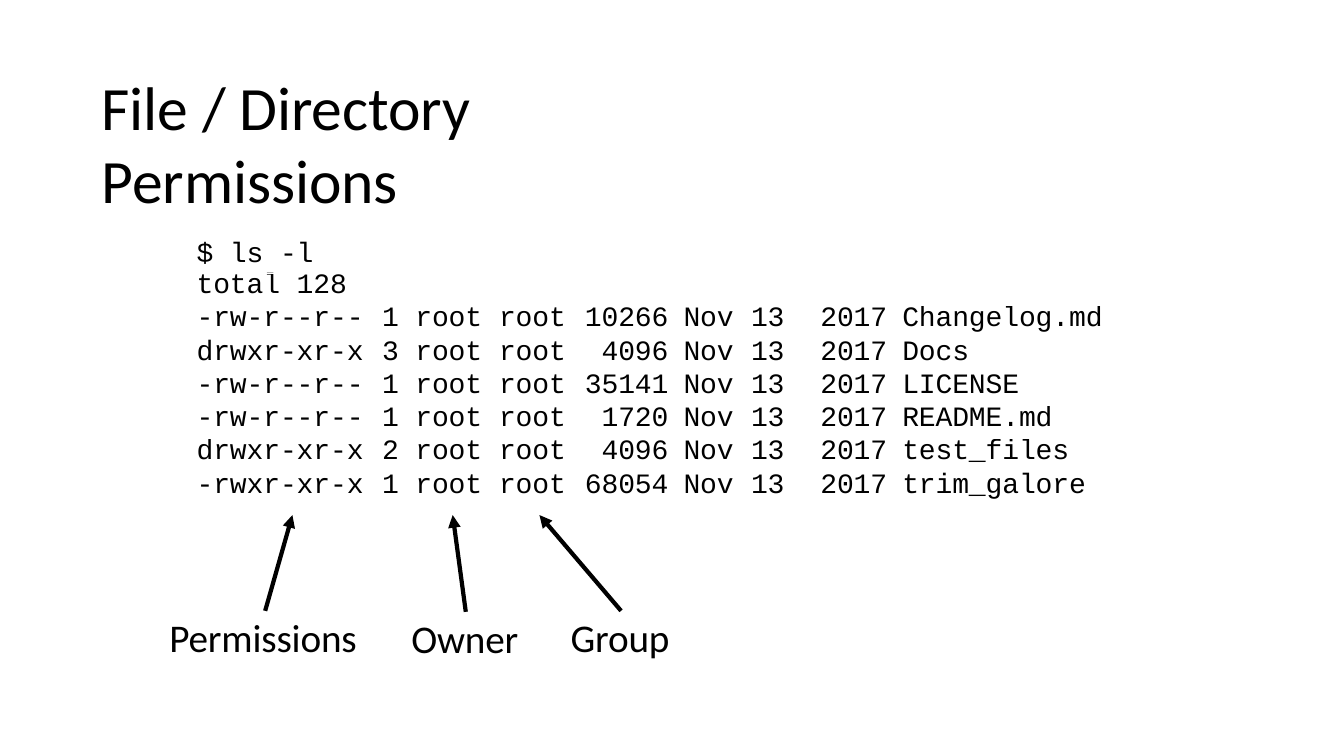
from dataclasses import dataclass

from lxml.etree import SubElement
from pptx import Presentation
from pptx.dml.color import RGBColor
from pptx.enum.shapes import MSO_CONNECTOR as Connector
from pptx.enum.text import MSO_AUTO_SIZE as AutoSize, PP_ALIGN as Align
from pptx.oxml.ns import qn
from pptx.util import Inches, Pt


@dataclass(frozen=True)
class Theme:
    ink: RGBColor = RGBColor(0, 0, 0)
    text_font: str = "Calibri"
    code_font: str = "Courier New"
    title_size: int = 44
    label_size: int = 28
    code_size: int = 20
    tracking: int = -10  # hundredths of a point
    arrow_width: int = 3


class SlideBuilder:
    def __init__(self, slide, theme):
        self.slide = slide
        self.theme = theme

    def style(self, para, size, font):
        for span in para.runs:
            span.font.name = font
            span.font.size = Pt(size)
            span.font.color.rgb = self.theme.ink
            span.font._element.set("spc", str(self.theme.tracking))

    def text(self, text, left, top, width, height, size, font):
        box = self.slide.shapes.add_textbox(
            Inches(left), Inches(top), Inches(width), Inches(height))
        frame = box.text_frame
        frame.word_wrap = True
        frame.auto_size = AutoSize.SHAPE_TO_FIT_TEXT
        frame.margin_left = frame.margin_top = Inches(0.01)
        frame.margin_right = frame.margin_bottom = 0
        frame.text = text
        self.style(frame.paragraphs[0], size, font)

    def cell(self, cell, text, indent, line_spacing, align=Align.LEFT):
        cell.fill.background()
        cell.margin_top = cell.margin_bottom = 0
        cell.margin_left = Inches(indent if align == Align.LEFT else 0)
        cell.margin_right = Inches(0.07 if align == Align.RIGHT else 0)
        cell.text_frame.text = text
        para = cell.text_frame.paragraphs[0]
        para.alignment = align
        para.line_spacing = Pt(line_spacing)
        self.style(para, self.theme.code_size, self.theme.code_font)

    def listing(self, heading, files, left, top, widths, heights, right_columns):
        table = self.slide.shapes.add_table(
            len(heights), len(widths), Inches(left), Inches(top),
            Inches(sum(widths)), Inches(sum(heights))).table
        table.first_row = table.horz_banding = False
        for column, width in zip(table.columns, widths):
            column.width = Inches(width)
        for row, height in zip(table.rows, heights):
            row.height = Inches(height)
        table.cell(0, 0).merge(table.cell(0, len(widths) - 1))
        self.cell(table.cell(0, 0), heading, 0.03, 20.7)
        for row, values in enumerate(files, start=1):
            for column, value in enumerate(values):
                self.cell(table.cell(row, column), value,
                          0.08 if column else 0.03, 21.4,
                          Align.RIGHT if column in right_columns else Align.LEFT)

    def arrow(self, start, end):
        line = self.slide.shapes.add_connector(
            Connector.STRAIGHT, *(Inches(value) for value in (*start, *end)))
        line.line.color.rgb = self.theme.ink
        line.line.width = Pt(self.theme.arrow_width)
        SubElement(line.line._get_or_add_ln(), qn("a:tailEnd"), type="triangle")
        SubElement(line._element.spPr, qn("a:effectLst"))


# Files: permissions, links, owner, group, size, month, day, year, name
FILES = [
    (mode, links, "root", "root", size, "Nov", "13", "2017", name)
    for mode, links, size, name in [
        ("-rw-r--r--", "1", "10266", "Changelog.md"),
        ("drwxr-xr-x", "3", "4096", "Docs"),
        ("-rw-r--r--", "1", "35141", "LICENSE"),
        ("-rw-r--r--", "1", "1720", "README.md"),
        ("drwxr-xr-x", "2", "4096", "test_files"),
        ("-rwxr-xr-x", "1", "68054", "trim_galore"),
    ]
]
COLUMN_WIDTHS = [1.79, 0.33, 0.83, 0.83, 1, 0.67, 0.58, 0.92, 2.12]
ROW_HEIGHTS = [0.32] + [0.33] * 5 + [0.32]
SIZE_COLUMN, YEAR_COLUMN = 4, 7

# Labels: text, left, top, width, arrow start, arrow end
LABELS = [
    ("Owner", 4.07, 6.08, 1.1, (4.62, 6.07), (4.49, 5.11)),
    ("Group", 5.65, 6.07, 1.01, (6.16, 6.06), (5.35, 5.11)),
    ("Permissions", 1.67, 6.07, 1.9, (2.63, 6.06), (2.9, 5.11)),
]


def main():
    deck = Presentation()
    deck.slide_width, deck.slide_height = Inches(13.33), Inches(7.5)
    theme = Theme()
    page = SlideBuilder(deck.slides.add_slide(deck.slide_layouts[6]), theme)

    # Title and command
    page.text("File / Directory Permissions", 1, 0.67, 6.7, 0.76,
              theme.title_size, theme.text_font)
    page.text("$ ls -l", 1.94, 2.32, 1.2, 0.36,
              theme.code_size, theme.code_font)

    # Command output
    page.listing("total 128", FILES, 1.92, 2.71, COLUMN_WIDTHS, ROW_HEIGHTS,
                 (SIZE_COLUMN, YEAR_COLUMN))

    # Labels pointing at the columns
    for text, left, top, width, start, end in LABELS:
        page.text(text, left, top, width, 0.49,
                  theme.label_size, theme.text_font)
        page.arrow(start, end)

    deck.save("out.pptx")


if __name__ == "__main__":
    main()
